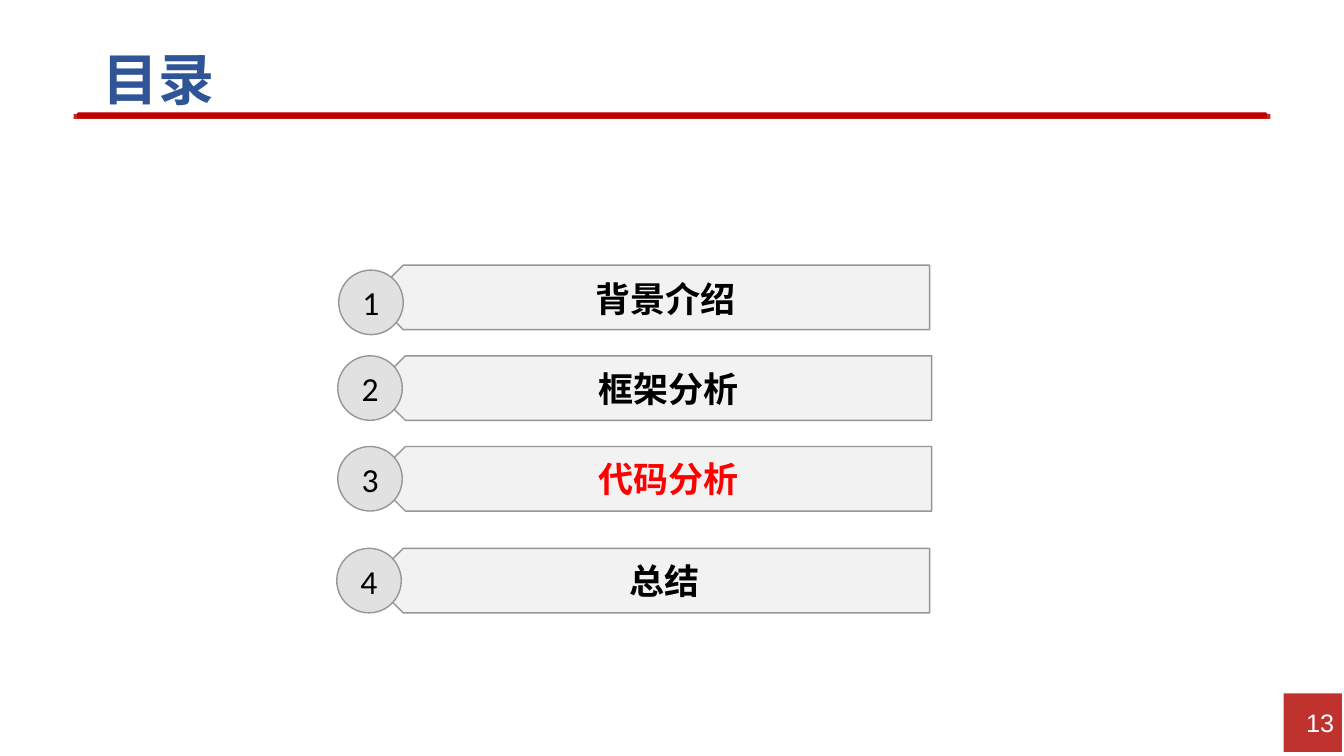
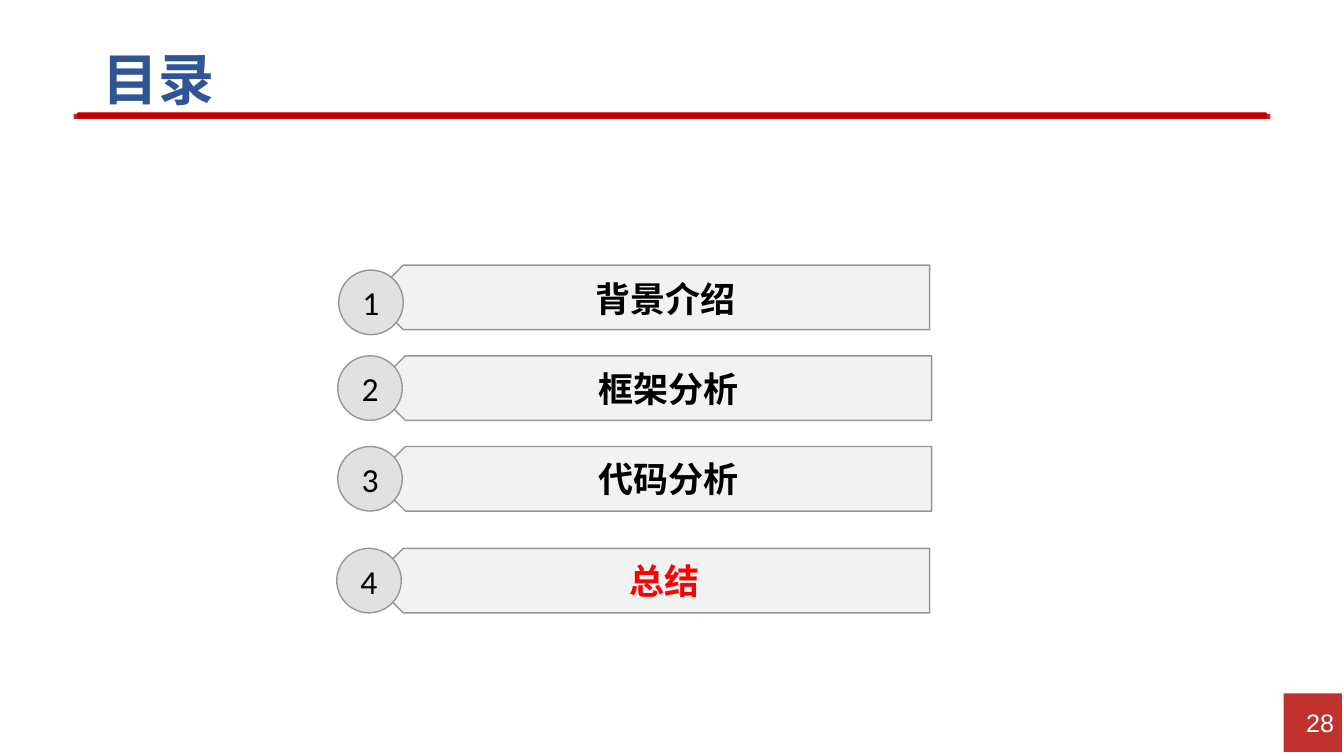
from dataclasses import dataclass

from pptx import Presentation
from pptx.dml.color import RGBColor
from pptx.enum.shapes import MSO_SHAPE
from pptx.enum.text import MSO_ANCHOR, PP_ALIGN
from pptx.util import Inches, Pt

TITLE = "目录"
# label, bar left, bar top, label left, label top, circle left, circle top
SECTIONS = [
    ("背景介绍", 3.68, 2.63, 3.86, 2.64, 3.36, 2.68),
    ("框架分析", 3.70, 3.53, 3.89, 3.53, 3.35, 3.53),
    ("代码分析", 3.70, 4.43, 3.89, 4.43, 3.35, 4.43),
    ("总结", 3.68, 5.44, 3.85, 5.44, 3.34, 5.44),
]
# page number, current section
AGENDAS = [("13", "代码分析"), ("28", "总结")]

ROW_HEIGHT = 0.64
BAR_WIDTH = 5.54
LABEL_WIDTH = 5.38
NUMBER_WIDTH, NUMBER_HEIGHT = 0.37, 0.5
NUMBER_DROP = 0.07


@dataclass(frozen=True)
class Theme:
    title: str = "2F5597"
    band: str = "C4251F"
    rule: str = "C00000"
    page: str = "C0322E"
    page_text: str = "FFFFFF"
    bar: str = "F2F2F2"
    circle: str = "E1E1E1"
    outline: str = "969696"
    text: str = "000000"
    current: str = "FF0000"
    font: str = "Arial"
    number_font: str = "Calibri"
    title_size: int = 40
    label_size: int = 25
    number_size: int = 24
    page_size: int = 18


THEME = Theme()


def add_box(slide, kind, left, top, width, height, fill, line=None, weight=1):
    sp = slide.shapes.add_shape(
        kind, Inches(left), Inches(top), Inches(width), Inches(height))
    sp.shadow.inherit = False
    sp.fill.solid()
    sp.fill.fore_color.rgb = RGBColor.from_string(fill)
    if line:
        sp.line.color.rgb = RGBColor.from_string(line)
        sp.line.width = Pt(weight)
    else:
        sp.line.fill.background()
    return sp


def add_text(slide, text, left, top, width, height, size, color, bold=False,
             font=THEME.font, align=PP_ALIGN.LEFT, insets=(0.1, 0.05, 0.1, 0.05)):
    """Add a one-line text box; insets run left, top, right, bottom."""
    sp = slide.shapes.add_textbox(
        Inches(left), Inches(top), Inches(width), Inches(height))
    tf = sp.text_frame
    tf.word_wrap = True
    tf.vertical_anchor = MSO_ANCHOR.MIDDLE
    tf.margin_left, tf.margin_top, tf.margin_right, tf.margin_bottom = map(Inches, insets)
    p = tf.paragraphs[0]
    p.alignment = align
    r = p.add_run()
    r.text = text
    r.font.name = font
    r.font.size = Pt(size)
    r.font.bold = bold
    r.font.color.rgb = RGBColor.from_string(color)
    return p


def add_frame(slide, page):
    """Add the title, its red rule and the page number."""
    for left, width in ((0.73, 11.5), (12.05, 0.55)):
        add_box(slide, MSO_SHAPE.RECTANGLE, left, 1.13, width, 0.05, THEME.band)
    p = add_text(slide, TITLE, 0.92, 0.52, 11.5, 0.6,
                 THEME.title_size, THEME.title, bold=True)
    p.line_spacing = 0.9
    add_box(slide, MSO_SHAPE.ROUNDED_RECTANGLE, 0.77, 1.12, 11.79, 0.05,
            THEME.rule, THEME.rule, 0.75)
    add_box(slide, MSO_SHAPE.RECTANGLE, 12.73, 6.88, 0.58, 0.58, THEME.page)
    add_text(slide, page, 12.73, 6.97, 0.6, 0.4,
             THEME.page_size, THEME.page_text, align=PP_ALIGN.RIGHT)


def add_section(slide, number, section, current):
    label, bar_x, bar_y, label_x, label_y, circle_x, circle_y = section
    bar = add_box(slide, MSO_SHAPE.PENTAGON, bar_x, bar_y, BAR_WIDTH, ROW_HEIGHT,
                  THEME.bar, THEME.outline)
    bar.rotation = 180
    add_text(slide, label, label_x, label_y, LABEL_WIDTH, ROW_HEIGHT,
             THEME.label_size, THEME.current if label == current else THEME.text,
             bold=True, align=PP_ALIGN.CENTER, insets=(0.28, 0.1, 0.18, 0.1))
    add_box(slide, MSO_SHAPE.OVAL, circle_x, circle_y, ROW_HEIGHT, ROW_HEIGHT,
            THEME.circle, THEME.outline)
    add_text(slide, str(number), circle_x + (ROW_HEIGHT - NUMBER_WIDTH) / 2,
             circle_y + NUMBER_DROP, NUMBER_WIDTH, NUMBER_HEIGHT,
             THEME.number_size, THEME.text, font=THEME.number_font,
             align=PP_ALIGN.CENTER, insets=(0, 0.05, 0, 0.05))


def main():
    prs = Presentation()
    prs.slide_width, prs.slide_height = Inches(13.33), Inches(7.5)
    for page, current in AGENDAS:
        slide = prs.slides.add_slide(prs.slide_layouts[6])
        add_frame(slide, page)
        for number, section in enumerate(SECTIONS, 1):
            add_section(slide, number, section, current)
    prs.save("out.pptx")


if __name__ == "__main__":
    main()
